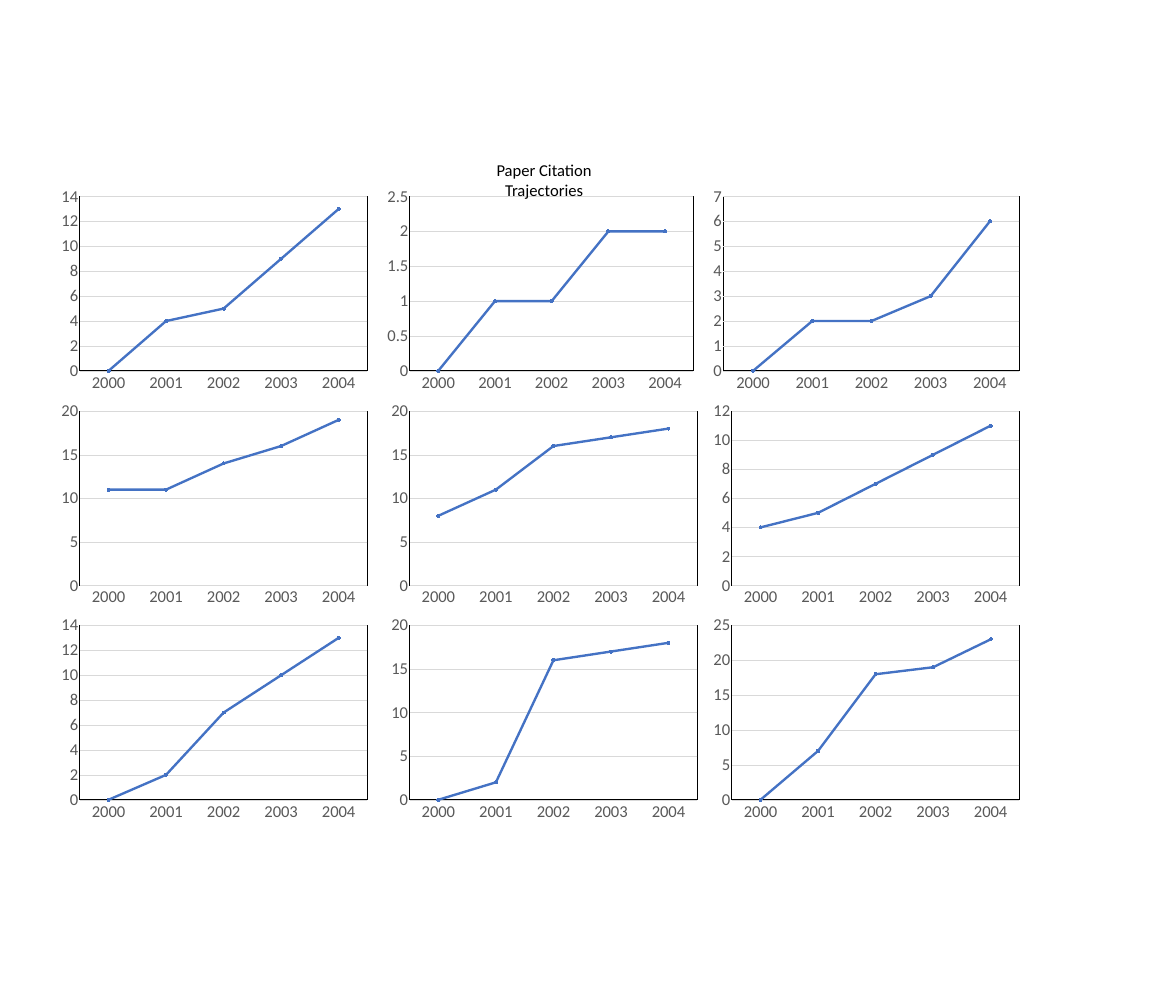
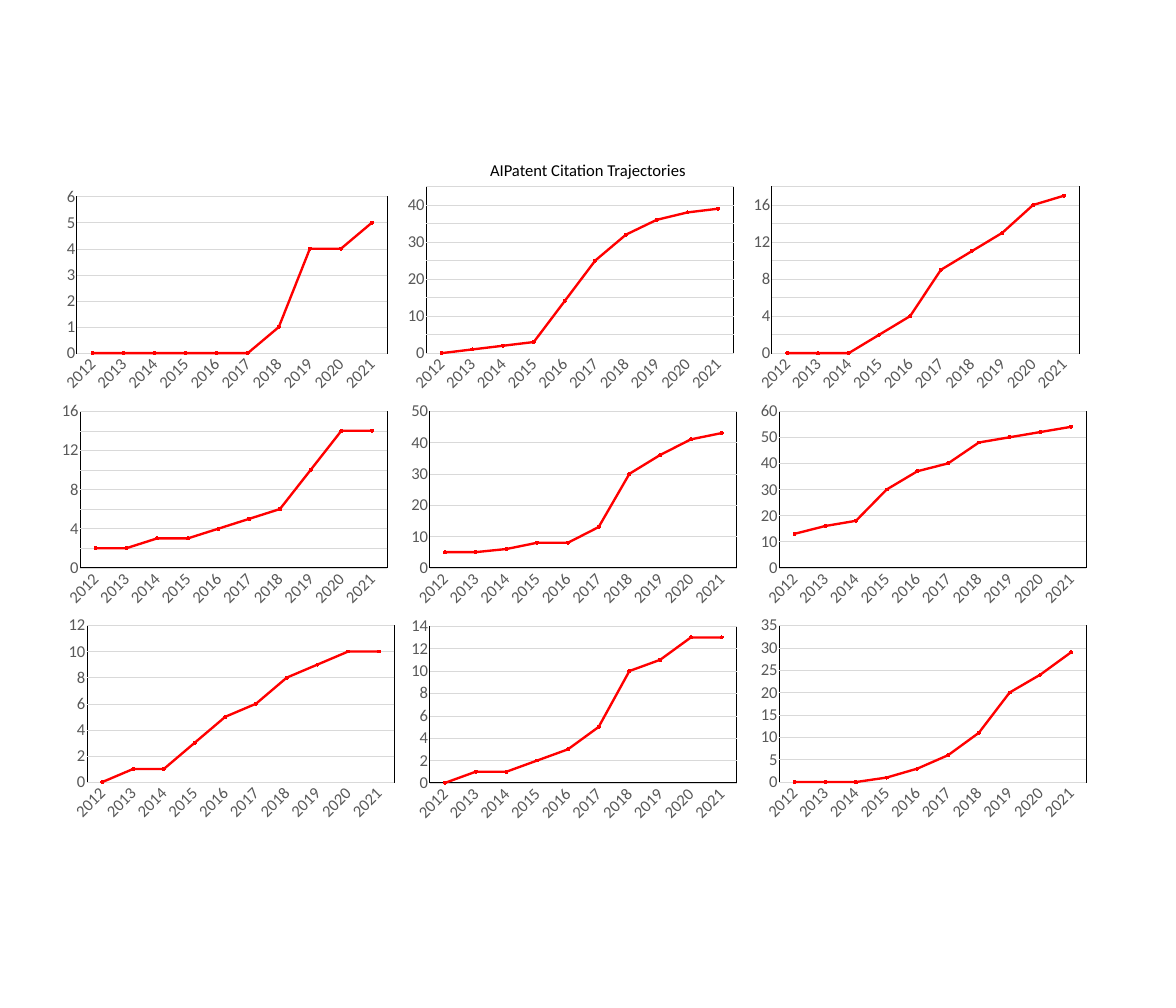
from dataclasses import dataclass, field

from lxml import etree
from pptx import Presentation
from pptx.chart.data import CategoryChartData
from pptx.dml.color import RGBColor
from pptx.enum.chart import XL_CHART_TYPE, XL_MARKER_STYLE, XL_TICK_MARK
from pptx.enum.text import MSO_AUTO_SIZE, PP_ALIGN
from pptx.oxml import parse_xml
from pptx.oxml.ns import qn
from pptx.util import Inches, Pt

LINE_MARKERS = XL_CHART_TYPE.LINE_MARKERS
CIRCLE = XL_MARKER_STYLE.CIRCLE
NO_TICK = XL_TICK_MARK.NONE
GROW = MSO_AUTO_SIZE.SHAPE_TO_FIT_TEXT
CENTER = PP_ALIGN.CENTER
A_NS = "http://schemas.openxmlformats.org/drawingml/2006/main"
C_NS = "http://schemas.openxmlformats.org/drawingml/2006/chart"


@dataclass(frozen=True)
class Theme:
    font: str = "Calibri"
    text: str = "000000"
    label: str = "595959"
    rule: str = "D9D9D9"
    blue: str = "4472C4"
    red: str = "FF0000"
    size: int = 28
    rule_width: float = 0.75
    series_width: int = 4
    marker_size: int = 5


@dataclass(frozen=True)
class Grid:
    """Panel grid in inches, with offsets and (maximum, step) scales by cell."""
    width: float
    step_x: float
    nudges: dict
    scales: dict = field(default_factory=dict)
    left: float = 1.29
    tops: tuple = (4.27, 9.3, 14.32)
    height: float = 5.03

    def box(self, row, col):
        dx, dy = self.nudges.get((row, col), (0, 0))
        x = self.left + col * self.step_x + dx
        y = self.tops[row] + dy
        return [Inches(v) for v in (x, y, self.width, self.height)]


THEME = Theme()


def set_font(font, size=THEME.size, color=THEME.text, name=THEME.font):
    font.size, font.name = Pt(size), name
    font.color.rgb = RGBColor.from_string(color)


def add_text(tf, text, align=CENTER, **fmt):
    p = tf.paragraphs[0]
    p.alignment = align
    r = p.add_run()
    r.text = text
    set_font(r.font, **fmt)


def set_line(line, color, width):
    line.width = Pt(width)
    line.color.rgb = RGBColor.from_string(color)


def outline_props(color=None):
    """Chart shape properties: no fill, and a hairline or no line."""
    sp_pr = parse_xml(f'<c:spPr xmlns:c="{C_NS}" xmlns:a="{A_NS}">'
                      '<a:noFill/><a:ln/></c:spPr>')
    ln = sp_pr.find(qn("a:ln"))
    if color is None:
        etree.SubElement(ln, qn("a:noFill"))
    else:
        ln.set("w", "0")
        fill = etree.SubElement(ln, qn("a:solidFill"))
        etree.SubElement(fill, qn("a:srgbClr")).set("val", color)
    return sp_pr


class Deck:
    def __init__(self, prs, theme):
        self.prs, self.theme, self.slide = prs, theme, None

    def new_slide(self):
        self.slide = self.prs.slides.add_slide(self.prs.slide_layouts[6])

    def title(self, text, left, width):
        sp = self.slide.shapes.add_textbox(
            Inches(left), Inches(3.7), Inches(width), Inches(0.57))
        tf = sp.text_frame
        tf.word_wrap, tf.auto_size = False, GROW
        add_text(tf, text)

    def style_axis(self, axis):
        axis.major_tick_mark = axis.minor_tick_mark = NO_TICK
        set_font(axis.tick_labels.font, color=self.theme.label)

    def line_chart(self, box, years, values, color, label_angle, scale):
        t = self.theme
        data = CategoryChartData()
        data.categories = years
        data.add_series("Series 1", values)
        chart = self.slide.shapes.add_chart(LINE_MARKERS, *box, data).chart
        chart.has_title = chart.has_legend = False
        set_font(chart.font)
        chart_el = chart.element.find(qn("c:chart"))
        plot_area = chart_el.find(qn("c:plotArea"))

        # Axes and gridlines
        cat, val = chart.category_axis, chart.value_axis
        for axis in (cat, val):
            self.style_axis(axis)
        set_line(cat.format.line, t.rule, t.rule_width)
        val.format.line.fill.background()
        val.has_major_gridlines = True
        set_line(val.major_gridlines.format.line, t.rule, t.rule_width)
        if scale:
            val.minimum_scale = 0
            val.maximum_scale, val.major_unit = scale
        body = plot_area.find(
            "/".join(qn(tag) for tag in ("c:catAx", "c:txPr", "a:bodyPr")))
        body.set("rot", str(label_angle * 60000))

        # Series
        plot = chart.plots[0]
        plot.vary_by_categories = False
        series = plot.series[0]
        series.smooth = False
        set_line(series.format.line, color, t.series_width)
        marker = series.marker
        marker.style, marker.size = CIRCLE, t.marker_size
        marker.format.fill.solid()
        marker.format.fill.fore_color.rgb = RGBColor.from_string(color)
        set_line(marker.format.line, color, t.rule_width)

        # Plot frame and clear chart background
        plot_area.append(outline_props(t.text))
        chart_el.addnext(outline_props())

    def panels(self, grid, years, rows, color, label_angle=0):
        for i, row in enumerate(rows):
            for j, values in enumerate(row):
                self.line_chart(grid.box(i, j), years, values, color,
                                label_angle, grid.scales.get((i, j)))


PAPER_GRID = Grid(7.47, 7.64, {(1, 1): (0.09, 0), (2, 1): (0.09, 0)})
PAPER_YEARS = [str(y) for y in range(2000, 2005)]
PAPER_ROWS = [
    [(0, 4, 5, 9, 13), (0, 1, 1, 2, 2), (0, 2, 2, 3, 6)],
    [(11, 11, 14, 16, 19), (8, 11, 16, 17, 18), (4, 5, 7, 9, 11)],
    [(0, 2, 7, 10, 13), (0, 2, 16, 17, 18), (0, 7, 18, 19, 23)],
]

PATENT_GRID = Grid(7.95, 8.19, {(0, 1): (-0.08, 0), (0, 2): (-0.17, 0),
                                (2, 0): (0.16, 0), (2, 1): (0, 0.02)},
                   scales={(0, 1): (45, 5), (0, 2): (18, 2)})
PATENT_YEARS = [str(y) for y in range(2012, 2022)]
PATENT_ROWS = [
    [(0, 0, 0, 0, 0, 0, 1, 4, 4, 5),
     (0, 1, 2, 3, 14, 25, 32, 36, 38, 39),
     (0, 0, 0, 2, 4, 9, 11, 13, 16, 17)],
    [(2, 2, 3, 3, 4, 5, 6, 10, 14, 14),
     (5, 5, 6, 8, 8, 13, 30, 36, 41, 43),
     (13, 16, 18, 30, 37, 40, 48, 50, 52, 54)],
    [(0, 1, 1, 3, 5, 6, 8, 9, 10, 10),
     (0, 1, 1, 2, 3, 5, 10, 11, 13, 13),
     (0, 0, 0, 1, 3, 6, 11, 20, 24, 29)],
]


def main():
    prs = Presentation()
    prs.slide_width, prs.slide_height = Inches(27.56), Inches(23.62)
    deck = Deck(prs, THEME)

    # Slide 1: paper citations
    deck.new_slide()
    deck.panels(PAPER_GRID, PAPER_YEARS, PAPER_ROWS, THEME.blue)
    deck.title("Paper Citation Trajectories", 10.71, 4.08)

    # Slide 2: patent citations
    deck.new_slide()
    deck.panels(PATENT_GRID, PATENT_YEARS, PATENT_ROWS, THEME.red, -45)
    deck.title("AIPatent Citation Trajectories", 11.36, 4.83)

    prs.save("out.pptx")


if __name__ == "__main__":
    main()
